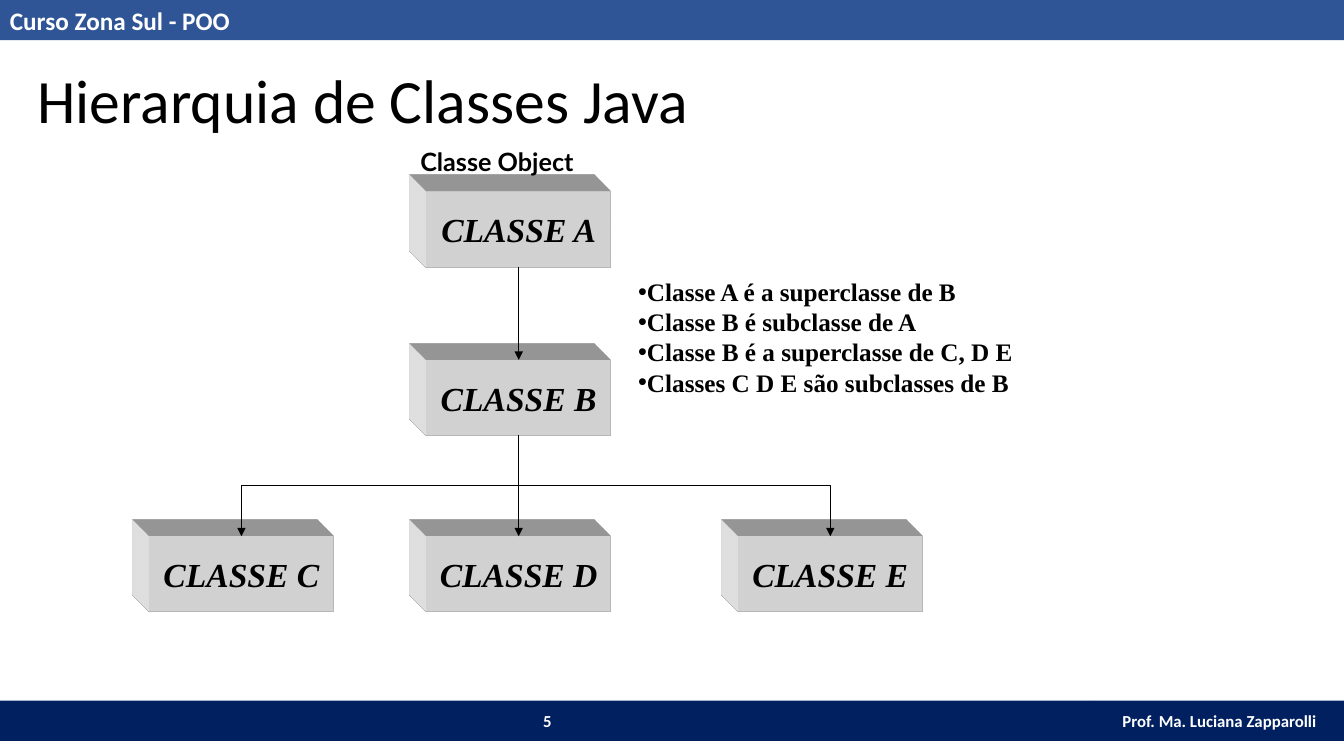
from lxml.etree import SubElement, fromstring
from pptx import Presentation
from pptx.dml.color import RGBColor
from pptx.enum.shapes import MSO_CONNECTOR, MSO_SHAPE
from pptx.enum.text import MSO_ANCHOR, MSO_AUTO_SIZE, PP_ALIGN
from pptx.oxml.ns import nsdecls, qn
from pptx.util import Pt

EMU_PER_PX = 9144
COLOURS = {"header": "2F5597", "footer": "002060", "light": "FFFFFF", "ink": "000000"}
BOX_WIDTH, BOX_HEIGHT = 183, 75
TOP, BOTTOM = 0, 2


def px(length):
    return round(length * EMU_PER_PX)


class HierarchySlide:
    def __init__(self, deck):
        self.slide = deck.slides.add_slide(deck.slide_layouts[1])

    def colour(self, name):
        return RGBColor.from_string(COLOURS[name])

    def place(self, shape, left, top, width, height):
        shape.left, shape.top = px(left), px(top)
        shape.width, shape.height = px(width), px(height)

    def set_text(self, shape, text, size, font, colour="ink", bold=True, italic=False,
                 align=PP_ALIGN.LEFT, anchor=MSO_ANCHOR.TOP, wrap=True):
        frame = shape.text_frame
        frame.text = text
        frame.word_wrap = wrap
        frame.auto_size = MSO_AUTO_SIZE.NONE
        frame.vertical_anchor = anchor
        for paragraph in frame.paragraphs:
            paragraph.alignment = align
            for run in paragraph.runs:
                run.font.size = Pt(size)
                run.font.name = font
                run.font.bold = bold
                run.font.italic = italic
                run.font.color.rgb = self.colour(colour)

    def filled(self, preset, left, top, width, height, fill):
        shape = self.slide.shapes.add_shape(preset, px(left), px(top), px(width), px(height))
        shape.shadow.inherit = False
        shape.fill.solid()
        shape.fill.fore_color.rgb = self.colour(fill)
        shape.line.fill.background()
        return shape

    def bar(self, text, left, top, width, fill, size, align, anchor):
        shape = self.filled(MSO_SHAPE.RECTANGLE, left, top, width, 40, fill)
        self.set_text(shape, text, size, "Calibri", "light", align=align, anchor=anchor)

    def title(self, text):
        title = self.slide.shapes.title
        self.place(title, 27, 56, 1268, 84)
        self.set_text(title, text, 44, "Calibri", bold=False)

    def bullets(self, lines, left, top, width, height):
        body = self.slide.placeholders[1]
        self.place(body, left, top, width, height)
        self.set_text(body, "\n".join(lines), 18, "Times New Roman")
        for paragraph in body.text_frame.paragraphs:
            paragraph.space_before = Pt(0)
            paragraph.line_spacing = Pt(21.6)
            properties = paragraph._p.get_or_add_pPr()
            properties.set("marL", "0")
            properties.set("indent", "0")
            SubElement(properties, qn("a:buChar")).set("char", "•")

    def label(self, text, left, top, width, height):
        box = self.slide.shapes.add_textbox(px(left), px(top), px(width), px(height))
        self.set_text(box, text, 18, "Lato", wrap=False)

    def class_box(self, text, left, top):
        box = self.filled(MSO_SHAPE.FLOWCHART_PROCESS, left, top, BOX_WIDTH, BOX_HEIGHT, "light")
        self.set_text(box, text, 24, "Times New Roman", italic=True,
                      align=PP_ALIGN.CENTER, anchor=MSO_ANCHOR.MIDDLE, wrap=False)
        properties = box._element.spPr
        properties.append(fromstring(
            f'<a:scene3d {nsdecls("a")}><a:camera prst="legacyObliqueTopLeft"/>'
            '<a:lightRig rig="legacyFlat3" dir="b"/></a:scene3d>'))
        properties.append(fromstring(
            f'<a:sp3d {nsdecls("a")} extrusionH="430200" prstMaterial="legacyMatte">'
            '<a:bevelT w="13500" h="13500" prst="angle"/>'
            '<a:bevelB w="13500" h="13500" prst="angle"/>'
            f'<a:extrusionClr><a:srgbClr val="{COLOURS["light"]}"/></a:extrusionClr></a:sp3d>'))
        return box

    def arrow(self, parent, child):
        run = child.left - parent.left
        kind = MSO_CONNECTOR.ELBOW if run else MSO_CONNECTOR.STRAIGHT
        link = self.slide.shapes.add_connector(kind, 0, 0, 0, 0)
        link.begin_connect(parent, BOTTOM)
        link.end_connect(child, TOP)
        link.line.color.rgb = self.colour("ink")
        link.line.width = Pt(0.75)
        properties = link._element.spPr
        SubElement(properties.find(qn("a:ln")), qn("a:tailEnd")).set("type", "triangle")
        SubElement(properties, qn("a:effectLst"))
        if run:
            self.turn_down(link, parent, child, run)

    def turn_down(self, link, parent, child, run):
        start = parent.top + parent.height
        drop = child.top - start
        middle_x = parent.left + (parent.width + run) // 2
        middle_y = start + drop // 2
        link.width, link.height = drop, abs(run)
        link.left, link.top = middle_x - drop // 2, middle_y - abs(run) // 2
        frame = link._element.spPr.find(qn("a:xfrm"))
        frame.set("rot", str((90 if run < 0 else 270) * 60000))
        frame.set("flipH", "0" if run < 0 else "1")
        frame.set("flipV", "0")


def main():
    deck = Presentation()
    deck.slide_width, deck.slide_height = px(1333), px(750)
    page = HierarchySlide(deck)

    page.bar("Curso Zona Sul - POO", 0, 0, 1333, "header", 18, PP_ALIGN.LEFT, MSO_ANCHOR.TOP)
    for text, left, width in (("Prof. Ma. Luciana Zapparolli", 1086, 247), ("5", 0, 1086)):
        page.bar(text, left, 695, width, "footer", 12, PP_ALIGN.CENTER, MSO_ANCHOR.MIDDLE)
    page.title("Hierarquia de Classes Java")

    positions = {"A": (423, 190), "B": (423, 357), "C": (148, 532),
                 "D": (423, 532), "E": (732, 532)}
    classes = {letter: page.class_box(f"CLASSE {letter}", left, top)
               for letter, (left, top) in positions.items()}
    for parent, child in ("AB", "BD", "BC", "BE"):
        page.arrow(classes[parent], classes[child])

    page.bullets(["Classe A é a superclasse de B",
                  "Classe B é subclasse de A",
                  "Classe B é a superclasse de C, D E",
                  "Classes C D E são subclasses de B"], 623, 269, 408, 130)
    page.label("Classe Object", 407, 140, 190, 40)
    deck.save("out.pptx")


if __name__ == "__main__":
    main()
